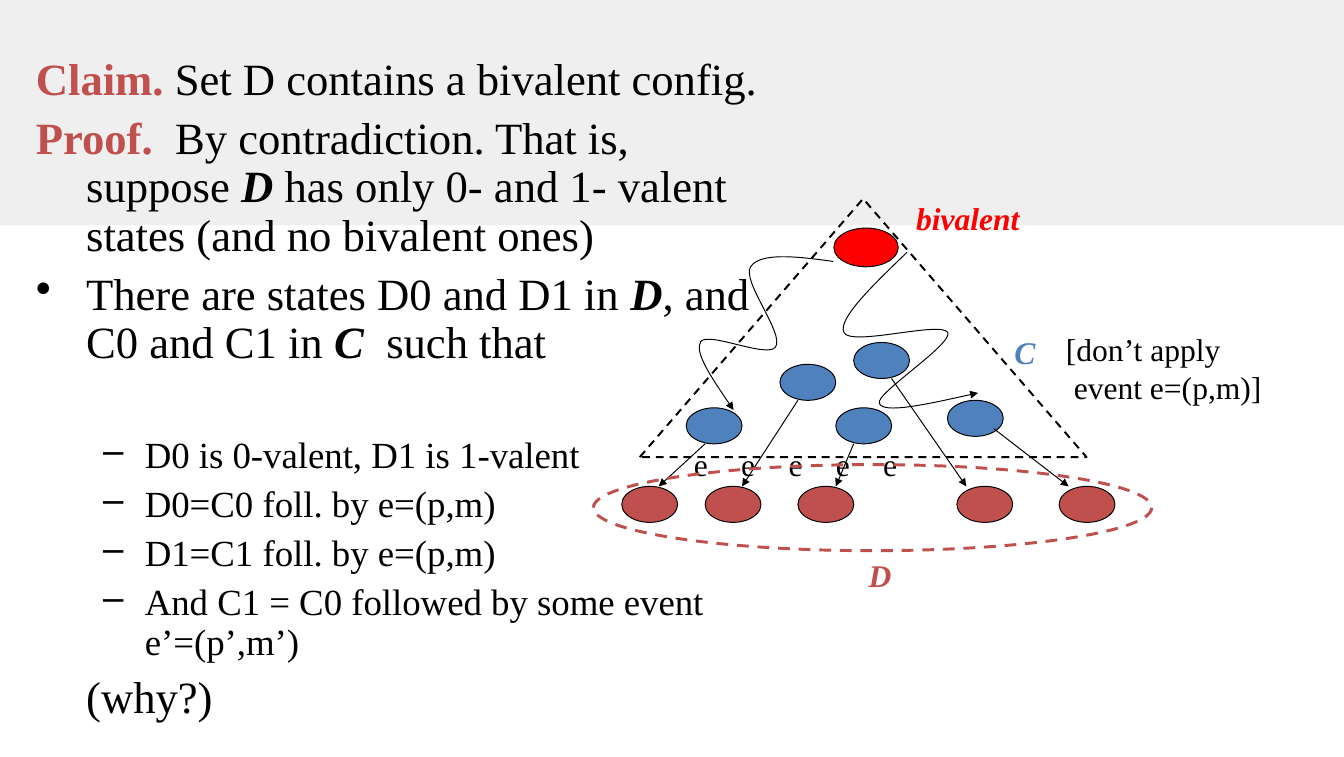
from dataclasses import dataclass

import pptx
import pptx.dml.color
import pptx.enum.dml
import pptx.enum.shapes
import pptx.oxml
import pptx.oxml.ns
import pptx.oxml.xmlchemy
import pptx.util
from pptx.shapes.base import BaseShape
from pptx.slide import Slide

COLORS = {
    "black": "000000",
    "band": "EFEFEF",
    "accent": "C0504D",
    "blue": "4F81BD",
    "red": "FF0000",
}
FONT = "Times New Roman"
Pt = pptx.util.Pt
Shape = pptx.enum.shapes.MSO_SHAPE
Point = tuple[float, float]


@dataclass(frozen=True)
class Run:
    text: str
    color: str = "black"
    bold: bool = False
    italic: bool = False


@dataclass(frozen=True)
class Paragraph:
    runs: tuple[Run, ...]
    size: float = 24
    margin: float = 0
    indent: float = 0
    before: float = 0
    spacing: float = 1
    bullet: str = ""
    tabs: tuple[float, ...] = ()


@dataclass(frozen=True)
class Box:
    left: float
    top: float
    width: float
    height: float


@dataclass(frozen=True)
class Outline:
    color: str = "black"
    width: float = 0.75
    dashed: bool = False


def rgb(name: str) -> pptx.dml.color.RGBColor:
    return pptx.dml.color.RGBColor.from_string(COLORS[name])


def add_element(parent, tag: str, **attributes: str):
    element = pptx.oxml.xmlchemy.OxmlElement(tag)
    for name, value in attributes.items():
        element.set(name, value)
    parent.append(element)
    return element


def add_text(slide: Slide, box: Box, paragraphs: list[Paragraph],
             inset: Point = (7.2, 3.6)) -> None:
    shape = slide.shapes.add_textbox(Pt(box.left), Pt(box.top), Pt(box.width), Pt(box.height))
    frame = shape.text_frame
    frame.word_wrap = True
    frame.margin_left = frame.margin_right = Pt(inset[0])
    frame.margin_top = frame.margin_bottom = Pt(inset[1])
    for index, content in enumerate(paragraphs):
        paragraph = frame.add_paragraph() if index else frame.paragraphs[0]
        properties = paragraph._p.get_or_add_pPr()
        properties.set("marL", str(Pt(content.margin)))
        properties.set("indent", str(Pt(content.indent)))
        paragraph.line_spacing = content.spacing
        paragraph.space_before = Pt(content.before)
        if content.bullet:
            add_element(properties, "a:buChar", char=content.bullet)
        if content.tabs:
            tab_list = add_element(properties, "a:tabLst")
            for position in content.tabs:
                add_element(tab_list, "a:tab", pos=str(Pt(position)), algn="l")
        for part in content.runs:
            run = paragraph.add_run()
            run.text = part.text
            run.font.name = FONT
            run.font.size = Pt(content.size)
            run.font.bold = part.bold
            run.font.italic = part.italic
            run.font.color.rgb = rgb(part.color)


def style_line(shape: BaseShape, outline: Outline) -> None:
    shape.line.color.rgb = rgb(outline.color)
    shape.line.width = Pt(outline.width)
    if outline.dashed:
        shape.line.dash_style = pptx.enum.dml.MSO_LINE.DASH


def add_arrowhead(shape: BaseShape) -> None:
    add_element(shape.line._get_or_add_ln(), "a:tailEnd", type="triangle")


def add_shape(slide: Slide, kind: Shape, box: Box, fill: str = "",
              outline: Outline | None = Outline()) -> None:
    shape = slide.shapes.add_shape(
        kind, Pt(box.left), Pt(box.top), Pt(box.width), Pt(box.height))
    shape.shadow.inherit = False
    if fill:
        shape.fill.solid()
        shape.fill.fore_color.rgb = rgb(fill)
    else:
        shape.fill.background()
    if outline:
        style_line(shape, outline)
    else:
        shape.line.fill.background()


def add_arrow(slide: Slide, start: Point, end: Point) -> None:
    connector = slide.shapes.add_connector(
        pptx.enum.shapes.MSO_CONNECTOR.STRAIGHT, *(Pt(value) for value in start + end))
    style_line(connector, Outline())
    add_arrowhead(connector)
    add_element(connector._element.spPr, "a:effectLst")


def add_curved_arrow(slide: Slide, points: list[Point]) -> None:
    builder = slide.shapes.build_freeform(*points[0], scale=float(Pt(1)))
    builder.add_line_segments(points[1:], close=False)
    shape = builder.convert_to_shape()
    shape.shadow.inherit = False
    shape.fill.background()
    style_line(shape, Outline())
    add_arrowhead(shape)
    segments = list(shape._element.iter(pptx.oxml.ns.qn("a:lnTo")))
    path_element = segments[0].getparent()
    for start in range(0, len(segments), 3):
        curve = add_element(path_element, "a:cubicBezTo")
        for segment in segments[start:start + 3]:
            curve.append(segment[0])
            path_element.remove(segment)


def claim(*runs: Run, **changes) -> Paragraph:
    settings = dict(size=34, margin=38.2, indent=-38.2, before=8.5, spacing=0.9)
    return Paragraph(runs, **(settings | changes))


def condition(text: str, before: float = 7) -> Paragraph:
    return Paragraph((Run(text),), 28, 82.8, -31.7, before, 0.9, "–")


def emphasis(text: str, color: str = "black") -> Run:
    return Run(text, color, True, True)


PROOF = [
    claim(Run("Claim.", "accent", True), Run(" Set D contains a bivalent config."), before=0),
    claim(Run("Proof.", "accent", True), Run("  By contradiction. That is, suppose "),
          emphasis("D "), Run("has only 0- and 1- valent states (and no bivalent ones)")),
    claim(Run("There are states D0 and D1 in "), emphasis("D"), Run(", and C0 and C1 in "),
          emphasis("C "), Run(" such that"), bullet="•"),
    condition("D0 is 0-valent, D1 is 1-valent", before=52),
    condition("D0=C0 foll. by e=(p,m)"),
    condition("D1=C1 foll. by e=(p,m)"),
    condition("And C1 = C0 followed by some event e’=(p’,m’)"),
    claim(Run("(why?)"), indent=0),
]
STATE_WIDTH, STATE_HEIGHT = 42.5, 27.4
C_STATES = [(720.7, 304.6), (522, 310.3), (593.3, 277.2), (635.8, 310.3), (649.4, 260.6)]
D_TOP = 370.1
D_LEFTS = [473, 536.4, 607, 727.9, 805.7]
EVENTS = [
    ((536.4, 337.7), (501.1, D_TOP)),
    ((607, 304.6), (564.5, D_TOP)),
    ((678.2, 288), (735.1, D_TOP)),
    ((756, 326.2), (812.9, D_TOP)),
    ((649.4, 337.7), (635.8, D_TOP)),
]
WALKS = [
    [(634.3, 198.7), (606.2, 195.1), (578.2, 192.2), (571, 203), (563.8, 213.8),
     (596.9, 254.2), (590.4, 263.5), (583.9, 272.9), (538.6, 252), (532.8, 259.9),
     (527.8, 267.8), (542.9, 290.2), (558, 311.8)],
    [(690.5, 191.5), (663.8, 217.4), (637.2, 243.4), (642.2, 253.4), (647.3, 263.5),
     (716.4, 244.1), (720.7, 252.7), (725, 262.1), (664.6, 299.5), (668.9, 307.4),
     (672.5, 315.4), (707.8, 306.7), (743.8, 298.8)],
]
LABELS = [
    (Box(653.8, 419.8, 36, 36), emphasis("D", "accent")),
    (Box(764.6, 249.8, 36, 36), emphasis("C", "blue")),
    (Box(689.8, 147.6, 100, 36), emphasis("bivalent", "red")),
]


def main() -> None:
    presentation = pptx.Presentation()
    presentation.slide_width, presentation.slide_height = Pt(1022.4), Pt(576)
    slide = presentation.slides.add_slide(presentation.slide_layouts[6])
    add_shape(slide, Shape.RECTANGLE, Box(0, 0, 1022.4, 171.4), "band", None)
    add_text(slide, Box(17.3, 38.2, 587.5, 537.8), PROOF, (10.1, 5))
    add_shape(slide, Shape.OVAL, Box(634.3, 173.5, 49, 29.5), "red")
    for walk in WALKS:
        add_curved_arrow(slide, walk)
    for left, top in C_STATES:
        add_shape(slide, Shape.OVAL, Box(left, top, STATE_WIDTH, STATE_HEIGHT), "blue")
    add_shape(slide, Shape.ISOSCELES_TRIANGLE, Box(486.7, 151.2, 339.8, 196.6),
              outline=Outline(width=1.5, dashed=True))
    for left in D_LEFTS:
        add_shape(slide, Shape.OVAL, Box(left, D_TOP, STATE_WIDTH, STATE_HEIGHT), "accent")
    for start, end in EVENTS:
        add_arrow(slide, start, end)
    add_text(slide, Box(520.8, 334.8, 271.4, 36),
             [Paragraph((Run("\t".join("eeeee")),), tabs=(52.7, 105.3, 182, 240.6))])
    add_shape(slide, Shape.OVAL, Box(451.4, 353.5, 424.8, 65.5),
              outline=Outline("accent", 2.25, True))
    for box, run in LABELS:
        add_text(slide, box, [Paragraph((run,))])
    add_text(slide, Box(797.8, 247.7, 180, 64.8),
             [Paragraph((Run("[don’t apply"),), margin=6),
              Paragraph((Run("event e=(p,m)]"),), margin=12)])
    presentation.save("out.pptx")


if __name__ == "__main__":
    main()
